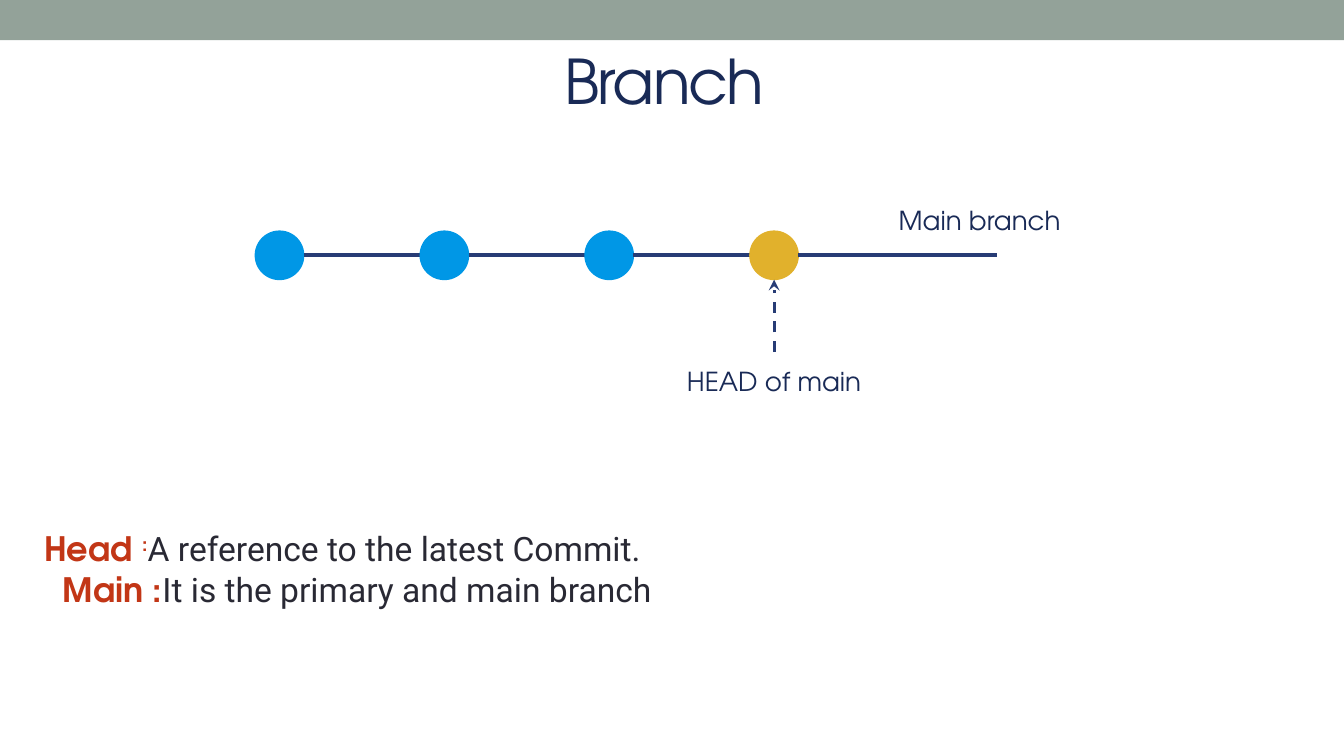
from pptx import Presentation
from pptx.dml.color import RGBColor
from pptx.enum.dml import MSO_LINE
from pptx.enum.shapes import MSO_CONNECTOR, MSO_SHAPE
from pptx.enum.text import MSO_ANCHOR, MSO_AUTO_SIZE, PP_ALIGN
from pptx.oxml.ns import qn
from pptx.util import Inches, Pt
from lxml import etree

RECT, OVAL = MSO_SHAPE.RECTANGLE, MSO_SHAPE.OVAL
STRAIGHT = MSO_CONNECTOR.STRAIGHT
DASH = MSO_LINE.DASH
TOP = MSO_ANCHOR.TOP
FIXED = MSO_AUTO_SIZE.NONE
LEFT, CENTER = PP_ALIGN.LEFT, PP_ALIGN.CENTER

HEAD_FONT, BODY_FONT = "TeX Gyre Adventor", "Roboto"
NAVY, LINE, BLUE, GOLD = "192A56", "273C75", "0097E6", "E1B12C"
RED, DARK, SAGE = "C23616", "292934", "93A299"


def color(code):
    return RGBColor.from_string(code)


def place(box, left, top, width, height):
    box.left, box.top = Inches(left), Inches(top)
    box.width, box.height = Inches(width), Inches(height)


def frame(box):
    text = box.text_frame
    text.word_wrap = True
    text.auto_size = FIXED
    text.vertical_anchor = TOP
    text.margin_left = text.margin_right = Inches(0.1)
    text.margin_top = text.margin_bottom = Inches(0.1)
    return text


def write(para, words, size=14, font=HEAD_FONT, fill=NAVY, bold=False,
          align=LEFT, space=None, raised=None):
    para.alignment = align
    run = para.add_run()
    run.text = words
    run.font.size, run.font.name, run.font.bold = Pt(size), font, bold
    run.font.color.rgb = color(fill)
    props = run.font._element
    if space is not None:
        props.set("spc", str(space))
    if raised is not None:
        props.set("baseline", str(raised))


def add_text(slide, left, top, width, height):
    box = slide.shapes.add_textbox(0, 0, 0, 0)
    place(box, left, top, width, height)
    return frame(box)


def add_shape(slide, kind, left, top, width, height, fill, edge=None):
    shape = slide.shapes.add_shape(kind, Inches(left), Inches(top),
                                   Inches(width), Inches(height))
    shape.shadow.inherit = False
    shape.fill.solid()
    shape.fill.fore_color.rgb = color(fill)
    if edge:
        shape.line.color.rgb = color(fill)
        shape.line.width = Pt(edge)
    else:
        shape.line.fill.background()


def add_line(slide, x1, y1, x2, y2, width, dash=None, tip=None):
    link = slide.shapes.add_connector(STRAIGHT, Inches(x1), Inches(y1),
                                      Inches(x2), Inches(y2))
    link.line.color.rgb = color(LINE)
    link.line.width = Pt(width)
    if dash:
        link.line.dash_style = dash
    if tip:
        etree.SubElement(link.line._get_or_add_ln(), qn("a:tailEnd"), type=tip)
    etree.SubElement(link._element.spPr, qn("a:effectLst"))


def add_title(slide, words):
    title = slide.shapes.title
    place(title, 0.34, 0.22, 9.32, 0.63)
    write(frame(title).paragraphs[0], words, size=33, align=CENTER, space=-100)


def add_label(slide, words, left, top):
    text = add_text(slide, left, top, 1.72, 0.4)
    write(text.paragraphs[0], words, align=CENTER)


def add_graph(slide):
    first, last, size, mid, end = 1.9, 5.58, 0.36, 1.9, 7.42
    fills = [BLUE, BLUE, BLUE, GOLD]
    step = (last - first) / (len(fills) - 1)
    spots = [first + step * i for i in range(len(fills))]
    for left, stop, fill in zip(spots, spots[1:] + [end], fills):
        add_shape(slide, OVAL, left, mid - size / 2, size, size, fill, 0.74)
        add_line(slide, left + size, mid, stop, mid, 2.24)
    # Pointer to the latest commit
    head = last + size / 2
    add_line(slide, head, 2.62, head, mid + size / 2, 1.5, DASH, "stealth")
    add_label(slide, "HEAD of main", 4.9, 2.62)
    add_label(slide, "Main branch", 6.43, 1.42)


def add_terms(slide):
    text = add_text(slide, 0.23, 3.83, 9.32, 0.8)
    term = dict(size=18, fill=RED, bold=True)
    body = dict(size=18, font=BODY_FONT, fill=DARK)
    para = text.paragraphs[0]
    write(para, "Head ", **term)
    write(para, ":", raised=30000, **term)
    write(para, "A reference to the latest Commit.", **body)
    para = text.add_paragraph()
    para._p.get_or_add_pPr().set("marL", str(Inches(0.14)))
    write(para, "Main :", **term)
    write(para, "It is the primary and main branch", **body)


def main():
    deck = Presentation()
    deck.slide_width = Inches(10)
    deck.slide_height = Inches(10) * 9 // 16
    slide = deck.slides.add_slide(deck.slide_layouts[5])
    # Top band and title
    add_shape(slide, RECT, 0, 0, 10, 0.3, SAGE)
    add_title(slide, "Branch ")
    # Commit line and its labels
    add_graph(slide)
    # Definitions
    add_terms(slide)
    deck.save("out.pptx")


main()
